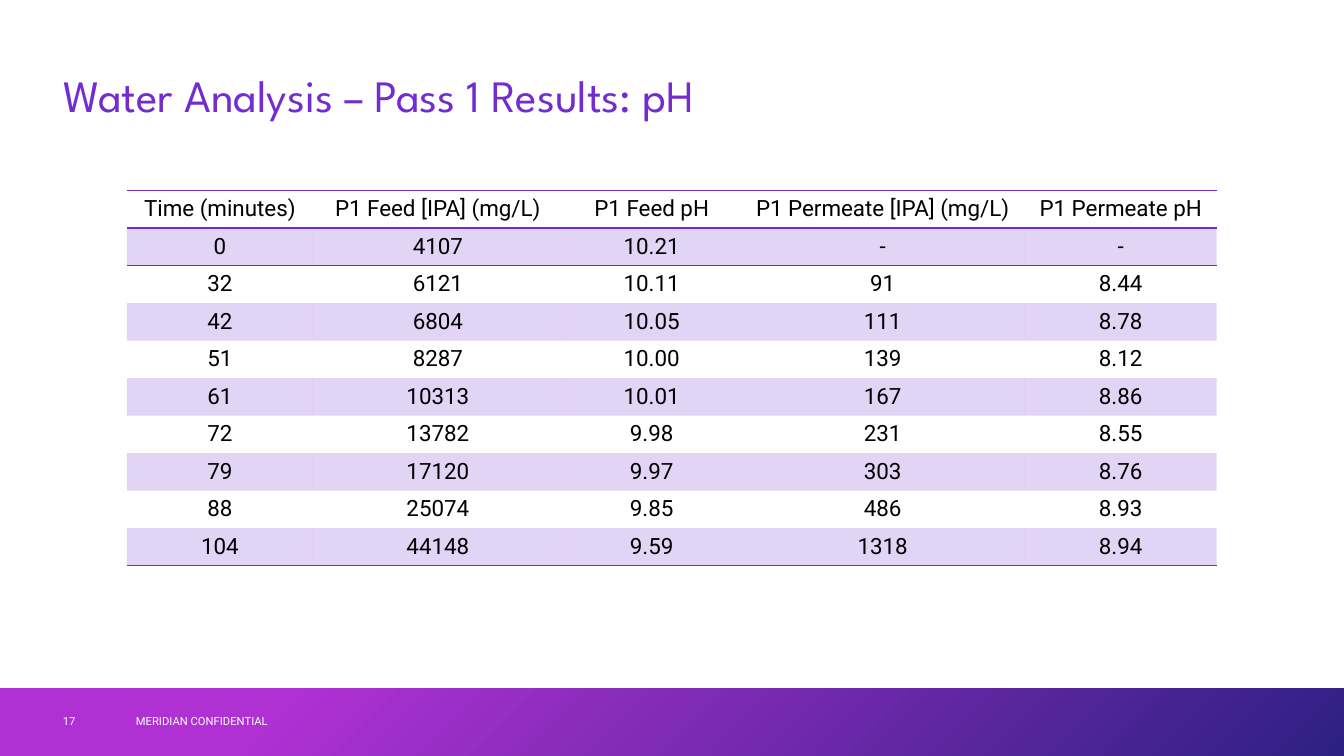
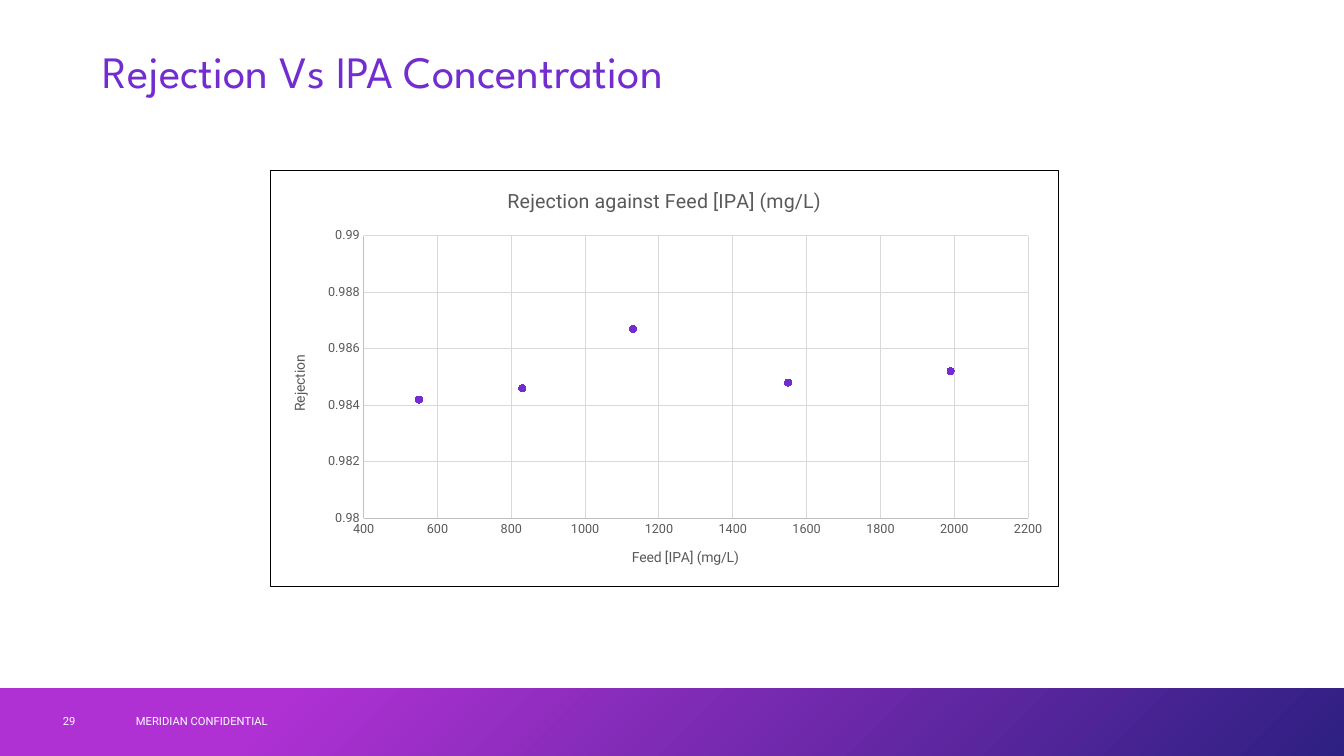
from dataclasses import dataclass
from typing import Any

from lxml import etree
from pptx import Presentation
from pptx.chart.data import XyChartData
from pptx.dml.color import RGBColor
from pptx.enum.chart import XL_CHART_TYPE, XL_MARKER_STYLE, XL_TICK_MARK
from pptx.enum.shapes import MSO_SHAPE
from pptx.enum.text import MSO_ANCHOR, PP_ALIGN
from pptx.oxml import parse_xml
from pptx.oxml.ns import nsdecls, qn
from pptx.util import Emu, Inches, Pt

RECTANGLE = MSO_SHAPE.RECTANGLE
MIDDLE = MSO_ANCHOR.MIDDLE
LEFT, CENTER = PP_ALIGN.LEFT, PP_ALIGN.CENTER
SCATTER = XL_CHART_TYPE.XY_SCATTER
CIRCLE = XL_MARKER_STYLE.CIRCLE
NO_TICK = XL_TICK_MARK.NONE

SLIDE_WIDTH, SLIDE_HEIGHT = Inches(40 / 3), Inches(7.5)
GRID_COLUMNS, GRID_ROWS = 160, 90
PLAIN_TABLE_STYLE = "{2D5ABB26-0587-4C30-8999-92F81FD0307C}"


@dataclass(frozen=True)
class TextStyle:
    font: str
    size: float
    color: str
    line_spacing: float = 1.0


@dataclass(frozen=True)
class Theme:
    accent: str = "722CCF"
    band_start: str = "AF31D3"
    band_end: str = "2D2082"
    paper: str = "FFFFFF"
    frame: str = "000000"
    axis_line: str = "BFBFBF"
    grid_line: str = "D9D9D9"
    stripe_opacity: int = 20
    hairline: float = 0.75
    rule: float = 1
    title: TextStyle = TextStyle("League Spartan", 32, "722CCF", 0.9)
    footer: TextStyle = TextStyle("Roboto", 8, "FFFFFF")
    cell: TextStyle = TextStyle("Roboto", 16, "000000")
    chart_title: TextStyle = TextStyle("Roboto", 14, "595959")
    axis_title: TextStyle = TextStyle("Roboto", 10, "595959")
    tick_label: TextStyle = TextStyle("Roboto", 9, "595959")


THEME = Theme()


@dataclass(frozen=True)
class Area:
    """A rectangle measured in columns and rows of the slide grid."""
    column: float
    row: float
    columns: float
    rows: float

    def place(self) -> tuple[Emu, Emu, Emu, Emu]:
        return (across(self.column), down(self.row),
                across(self.columns), down(self.rows))


@dataclass(frozen=True)
class AxisPlan:
    title: str
    title_percent: tuple[float, float]
    minimum: float
    maximum: float
    step: float
    rotation: int = 0


BAND = Area(0, 81.96, 160, 8.04)
PAGE_NUMBER = Area(6.3, 83.4, 8.64, 4.8)
NOTICE = Area(15, 83.4, 54, 4.8)
TABLE = Area(15.12, 22.68, 129.72, 44.68)
CHART = Area(32.16, 20.28, 93.96, 49.56)

TABLE_COLUMNS = (22.12, 29.78, 21.14, 33.86, 22.82)
PH_RESULTS = (
    ("Time (minutes)", "P1 Feed [IPA] (mg/L)", "P1 Feed pH",
     "P1 Permeate [IPA] (mg/L)", "P1 Permeate pH"),
    ("0", "4107", "10.21", "-", "-"),
    ("32", "6121", "10.11", "91", "8.44"),
    ("42", "6804", "10.05", "111", "8.78"),
    ("51", "8287", "10.00", "139", "8.12"),
    ("61", "10313", "10.01", "167", "8.86"),
    ("72", "13782", "9.98", "231", "8.55"),
    ("79", "17120", "9.97", "303", "8.76"),
    ("88", "25074", "9.85", "486", "8.93"),
    ("104", "44148", "9.59", "1318", "8.94"),
)

CHART_TITLE = "Rejection against Feed [IPA] (mg/L)"
CHART_TITLE_PERCENT = (29.6, 3.1)
PLOT_PERCENT = {"x": 11.8, "y": 15.6, "w": 84.3, "h": 68.1}
REJECTION_POINTS = ((550, 0.9842), (830, 0.9846), (1130, 0.9867),
                    (1550, 0.9848), (1990, 0.9852))
FEED_AXIS = AxisPlan("Feed [IPA] (mg/L)", (45.5, 90.3), 400, 2200, 200)
REJECTION_AXIS = AxisPlan("Rejection", (2.2, 43.8), 0.98, 0.99, 0.002, -90)


def across(columns: float) -> Emu:
    return Emu(round(SLIDE_WIDTH * columns / GRID_COLUMNS))


def down(rows: float) -> Emu:
    return Emu(round(SLIDE_HEIGHT * rows / GRID_ROWS))


def rgb(color: str) -> RGBColor:
    return RGBColor.from_string(color)


def set_values(target: Any, values: dict[str, Any]) -> None:
    for name, value in values.items():
        setattr(target, name, value)


def style_font(font: Any, style: TextStyle) -> None:
    set_values(font, {"name": style.font, "size": Pt(style.size), "bold": False})
    font.color.rgb = rgb(style.color)


def style_line(line: Any, color: str, width: float) -> None:
    line.color.rgb = rgb(color)
    line.width = Pt(width)


def write(frame: Any, text: str, style: TextStyle, align: Any = LEFT) -> None:
    para = frame.paragraphs[0]
    set_values(para, {"alignment": align, "line_spacing": style.line_spacing})
    span = para.add_run()
    span.text = text
    style_font(span.font, style)


def add_text(page: Any, area: Area, text: str, style: TextStyle) -> None:
    frame = page.shapes.add_textbox(*area.place()).text_frame
    set_values(frame, {"word_wrap": True, "vertical_anchor": MIDDLE})
    write(frame, text, style)


def add_band(page: Any) -> None:
    band = page.shapes.add_shape(RECTANGLE, *BAND.place())
    band.shadow.inherit = False
    band.line.fill.background()
    band.fill.gradient()
    band.fill.gradient_angle = 315
    stops = ((0.21, THEME.band_start), (1, THEME.band_end))
    for stop, (position, color) in zip(band.fill.gradient_stops, stops):
        stop.position = position
        stop.color.rgb = rgb(color)


def add_page(deck: Any, number: int, title: str, title_area: Area) -> Any:
    """Add a slide with the shared title, band and footer."""
    page = deck.slides.add_slide(deck.slide_layouts[6])
    add_band(page)
    add_text(page, title_area, title, THEME.title)
    add_text(page, NOTICE, "MERIDIAN CONFIDENTIAL", THEME.footer)
    add_text(page, PAGE_NUMBER, str(number), THEME.footer)
    return page


def line_xml(tag: str, color: str, width: float) -> Any:
    return parse_xml(
        f'<{tag} {nsdecls("a")} w="{Pt(width)}"><a:solidFill>'
        f'<a:srgbClr val="{color}"/></a:solidFill></{tag}>')


def shade_cell(cell: Any) -> None:
    cell.fill.solid()
    cell.fill.fore_color.rgb = rgb(THEME.accent)
    color = next(cell._tc.get_or_add_tcPr().iter(qn("a:srgbClr")))
    etree.SubElement(color, qn("a:alpha"), val=str(THEME.stripe_opacity * 1000))


def fill_cell(cell: Any, text: str, shaded: bool, borders: list[str]) -> None:
    set_values(cell, {"vertical_anchor": MIDDLE, "margin_left": 0,
                      "margin_right": 0, "margin_top": 0, "margin_bottom": 0})
    write(cell.text_frame, text, THEME.cell, CENTER)
    if shaded:
        shade_cell(cell)
    else:
        cell.fill.background()
    properties = cell._tc.get_or_add_tcPr()
    for position, tag in enumerate(borders):
        properties.insert(position, line_xml(tag, THEME.accent, THEME.rule))


def add_results_table(page: Any) -> None:
    count = len(PH_RESULTS)
    table = page.shapes.add_table(
        count, len(TABLE_COLUMNS), *TABLE.place()).table
    set_values(table, {"first_row": False, "horz_banding": False})
    next(table._tbl.iter(qn("a:tableStyleId"))).text = PLAIN_TABLE_STYLE
    for column, width in zip(table.columns, TABLE_COLUMNS):
        column.width = across(width)
    for row, values in enumerate(PH_RESULTS):
        table.rows[row].height = down(TABLE.rows / count)
        borders = {0: ["a:lnT", "a:lnB"], 1: ["a:lnT"],
                   count - 1: ["a:lnB"]}.get(row, [])
        for column, text in enumerate(values):
            fill_cell(table.cell(row, column), text, row % 2 == 1, borders)


def set_layout(owner: Any, index: int, percents: dict[str, float],
               inner: bool = False) -> None:
    """Place a chart part by percentages of the chart's width and height."""
    for layout in owner.findall(qn("c:layout")):
        owner.remove(layout)
    layout = etree.Element(qn("c:layout"))
    manual = etree.SubElement(layout, qn("c:manualLayout"))
    settings = {"layoutTarget": "inner"} if inner else {}
    settings |= {"xMode": "edge", "yMode": "edge"}
    settings |= {name: round(value / 100, 4) for name, value in percents.items()}
    for name, value in settings.items():
        etree.SubElement(manual, qn(f"c:{name}"), val=str(value))
    owner.insert(index, layout)


def place_title(title: Any, text: str, style: TextStyle,
                percent: tuple[float, float]) -> None:
    write(title.text_frame, text, style, CENTER)
    set_layout(title._element, 1, dict(zip("xy", percent)))


def format_axis(axis: Any, plan: AxisPlan) -> None:
    set_values(axis, {
        "minimum_scale": plan.minimum, "maximum_scale": plan.maximum,
        "major_unit": plan.step, "has_major_gridlines": True,
        "major_tick_mark": NO_TICK, "minor_tick_mark": NO_TICK})
    style_line(axis.format.line, THEME.axis_line, THEME.hairline)
    style_line(axis.major_gridlines.format.line, THEME.grid_line, THEME.hairline)
    style_font(axis.tick_labels.font, THEME.tick_label)
    place_title(axis.axis_title, plan.title, THEME.axis_title, plan.title_percent)
    body = next(axis.axis_title._element.iter(qn("a:bodyPr")))
    body.set("rot", str(plan.rotation * 60000))
    body.set("vert", "horz")


def frame_chart(chart: Any) -> None:
    properties = parse_xml(
        f'<c:spPr {nsdecls("c", "a")}><a:solidFill>'
        f'<a:srgbClr val="{THEME.paper}"/></a:solidFill></c:spPr>')
    properties.append(line_xml("a:ln", THEME.frame, THEME.hairline))
    chart._chartSpace.find(qn("c:chart")).addnext(properties)


def add_rejection_chart(page: Any) -> None:
    data = XyChartData()
    points = data.add_series(CHART_TITLE)
    for feed, rejection in REJECTION_POINTS:
        points.add_data_point(feed, rejection)
    chart = page.shapes.add_chart(SCATTER, *CHART.place(), data).chart
    set_values(chart, {"has_legend": False, "has_title": True})
    style_font(chart.font, THEME.axis_title)
    frame_chart(chart)
    place_title(chart.chart_title, CHART_TITLE, THEME.chart_title,
                CHART_TITLE_PERCENT)
    format_axis(chart.category_axis, FEED_AXIS)
    format_axis(chart.value_axis, REJECTION_AXIS)
    plot = chart.plots[0]
    plot.vary_by_categories = False
    series = plot.series[0]
    series.format.line.fill.background()
    set_values(series.marker, {"style": CIRCLE, "size": 5})
    series.marker.format.fill.solid()
    series.marker.format.fill.fore_color.rgb = rgb(THEME.accent)
    style_line(series.marker.format.line, THEME.accent, THEME.hairline)
    plot_area = next(chart._chartSpace.iter(qn("c:plotArea")))
    set_layout(plot_area, 0, PLOT_PERCENT, inner=True)


def main() -> None:
    deck = Presentation()
    set_values(deck, {"slide_width": SLIDE_WIDTH, "slide_height": SLIDE_HEIGHT})
    add_results_table(add_page(deck, 17, "Water Analysis – Pass 1 Results: pH",
                               Area(6.36, 7.68, 138, 8.04)))
    add_rejection_chart(add_page(deck, 29, "Rejection Vs IPA Concentration",
                                 Area(11.04, 4.8, 138, 8.04)))
    deck.save("out.pptx")


if __name__ == "__main__":
    main()
